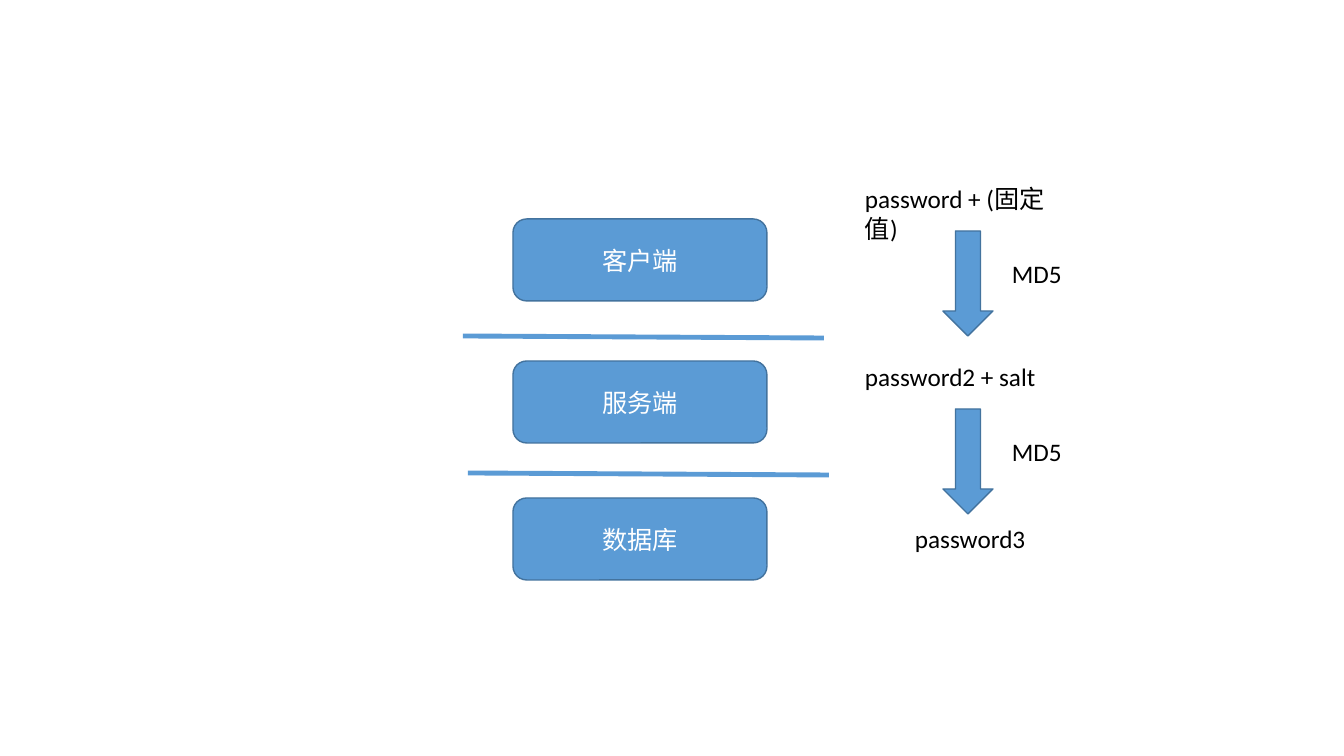
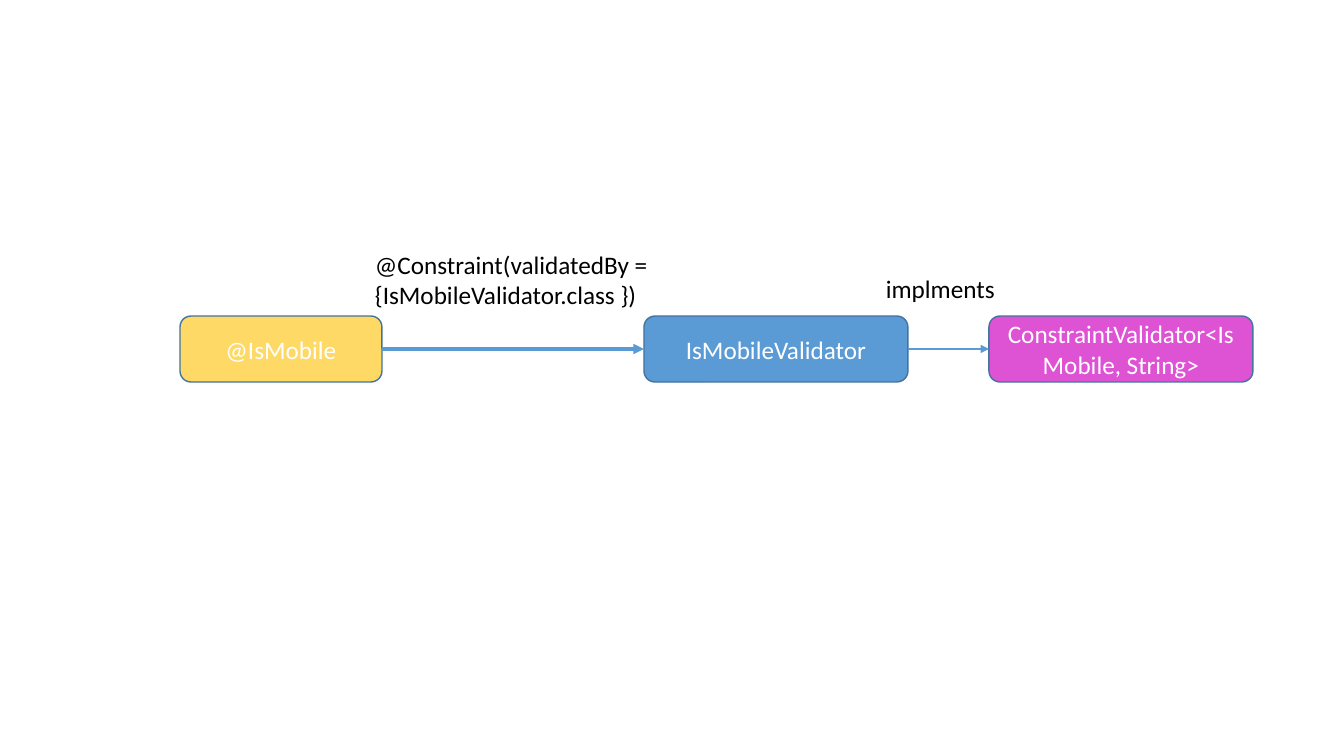
from lxml.etree import SubElement
from pptx import Presentation
from pptx.dml.color import RGBColor
from pptx.enum.shapes import MSO_CONNECTOR, MSO_SHAPE
from pptx.enum.text import MSO_ANCHOR, MSO_AUTO_SIZE, PP_ALIGN
from pptx.oxml.ns import qn
from pptx.util import Pt

EMU_PER_PIXEL = 914400 / 100.8
COLORS = {
    "blue": "5B9BD5",
    "outline": "43739E",
    "yellow": "FFD966",
    "magenta": "DE52D4",
    "white": "FFFFFF",
    "black": "000000",
}
FONT = "Calibri"
FONT_SIZE = 18
LABEL_HEIGHT = 40
RIGHT_SITE, LEFT_SITE = 3, 1


def px(*lengths):
    return [round(length * EMU_PER_PIXEL) for length in lengths]


def color(name):
    return RGBColor.from_string(COLORS[name])


def add_run(paragraph, text, color_name):
    run = paragraph.add_run()
    run.text = text
    run.font.name = FONT
    run.font.size = Pt(FONT_SIZE)
    run.font.color.rgb = color(color_name)


def add_block(slide, preset, box, fill="blue", text=None):
    shape = slide.shapes.add_shape(preset, *px(*box))
    shape.shadow.inherit = False
    shape.fill.solid()
    shape.fill.fore_color.rgb = color(fill)
    shape.line.color.rgb = color("outline")
    shape.line.width = Pt(1)
    if text:
        frame = shape.text_frame
        frame.word_wrap = True
        frame.vertical_anchor = MSO_ANCHOR.MIDDLE
        paragraph = frame.paragraphs[0]
        paragraph.alignment = PP_ALIGN.CENTER
        add_run(paragraph, text, "white")
    return shape


def add_label(slide, box, text):
    frame = slide.shapes.add_textbox(*px(*box)).text_frame
    frame.word_wrap = True
    frame.auto_size = MSO_AUTO_SIZE.SHAPE_TO_FIT_TEXT
    add_run(frame.paragraphs[0], text, "black")


def add_line(slide, start, end, width):
    connector = slide.shapes.add_connector(MSO_CONNECTOR.STRAIGHT, *px(*start, *end))
    connector.line.color.rgb = color("blue")
    connector.line.width = Pt(width)
    SubElement(connector._element.spPr, qn("a:effectLst"))
    return connector


def add_arrow(slide, source, target, width):
    connector = add_line(slide, (0, 0), (0, 0), width)
    connector.begin_connect(source, RIGHT_SITE)
    connector.end_connect(target, LEFT_SITE)
    SubElement(connector.line._get_or_add_ln(), qn("a:tailEnd"), type="triangle")


def add_tiers(slide, left, top):
    for name, offset in (("客户端", 0), ("服务端", 142), ("数据库", 279)):
        box = (left, top + offset, 254, 82)
        add_block(slide, MSO_SHAPE.ROUNDED_RECTANGLE, box, text=name)
    for shift, offset in ((-50, 117), (-45, 254)):
        x, y = left + shift, top + offset
        add_line(slide, (x, y), (x + 361, y + 2), 3.5)


def add_hash_step(slide, left, top, width, value):
    add_label(slide, (left, top, width, LABEL_HEIGHT), value)
    add_block(slide, MSO_SHAPE.DOWN_ARROW, (left + 88, top + 53, 50, 105))
    add_label(slide, (left + 147, top + 75, 110, LABEL_HEIGHT), "MD5")


def add_hash_chain(slide, left, top):
    step = 178
    for index, (value, width) in enumerate(
        (("password + (固定值)", 226), ("password2 + salt", 280))
    ):
        add_hash_step(slide, left, top + index * step, width, value)
    add_label(slide, (left + 50, top + 340, 280, LABEL_HEIGHT), "password3")


def add_validator_chain(slide, left, top):
    annotation, validator, interface = [
        add_block(slide, MSO_SHAPE.ROUNDED_RECTANGLE,
                  (left + offset, top, width, 66), fill, text)
        for text, offset, width, fill in (
            ("@IsMobile", 0, 202, "yellow"),
            ("IsMobileValidator", 464, 264, "blue"),
            ("ConstraintValidator<IsMobile, String>", 809, 264, "magenta"),
        )
    ]
    add_arrow(slide, annotation, validator, 2.5)
    add_arrow(slide, validator, interface, 1.5)
    add_label(slide, (left + 185, top - 72, 296, 72),
              "@Constraint(validatedBy = {IsMobileValidator.class })")
    add_label(slide, (left + 696, top - 48, 190, LABEL_HEIGHT), "implments")


def build_password_slide(slide):
    add_tiers(slide, 513, 219)
    add_hash_chain(slide, 855, 178)


def build_validator_slide(slide):
    add_validator_chain(slide, 180, 316)


presentation = Presentation()
presentation.slide_width, presentation.slide_height = px(1344, 756)
blank_layout = presentation.slide_layouts[6]
for build in (build_password_slide, build_validator_slide):
    build(presentation.slides.add_slide(blank_layout))
presentation.save("out.pptx")
